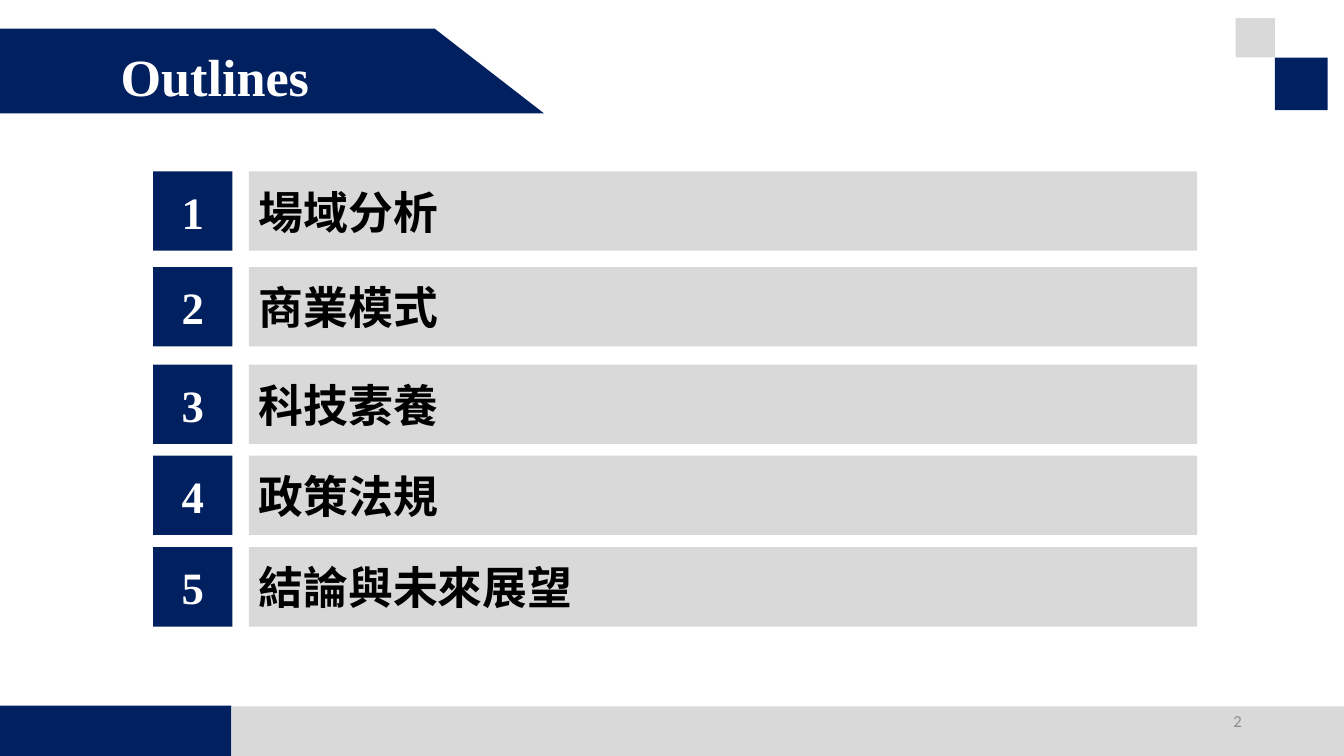
"""Build the outline slide with five numbered topics."""
from dataclasses import dataclass

from lxml.etree import SubElement
from pptx import Presentation
from pptx.dml.color import RGBColor
from pptx.enum.shapes import MSO_SHAPE as Preset
from pptx.enum.text import MSO_ANCHOR as Anchor, PP_ALIGN as Align
from pptx.oxml.ns import qn
from pptx.util import Cm, Pt


@dataclass(frozen=True)
class Theme:
    navy: RGBColor = RGBColor(0x00, 0x20, 0x60)
    silver: RGBColor = RGBColor(0xD9, 0xD9, 0xD9)
    gray: RGBColor = RGBColor(0x8C, 0x8C, 0x8C)
    white: RGBColor = RGBColor(0xFF, 0xFF, 0xFF)
    black: RGBColor = RGBColor(0x00, 0x00, 0x00)
    title_size: Pt = Pt(37.3)
    topic_size: Pt = Pt(32)
    page_size: Pt = Pt(12)
    serif: str = "Times New Roman"
    cjk: str = "Noto Sans CJK SC"
    sans: str = "Calibri"


theme = Theme()


def add_block(shapes, color, left, top, width, height, preset=Preset.RECTANGLE):
    shape = shapes.add_shape(preset, Cm(left), Cm(top), Cm(width), Cm(height))
    shape.shadow.inherit = False
    shape.fill.solid()
    shape.fill.fore_color.rgb = color
    shape.line.fill.background()
    return shape


def write_text(shape, text, color, align, anchor=Anchor.MIDDLE, wrap=True, **font_format):
    frame = shape.text_frame
    frame.word_wrap = wrap
    frame.vertical_anchor = anchor
    paragraph = frame.paragraphs[0]
    paragraph.alignment = align
    run = paragraph.add_run()
    run.text = text
    run.font.color.rgb = color
    for attribute, value in font_format.items():
        setattr(run.font, attribute, value)
    SubElement(run._r.get_or_add_rPr(), qn("a:ea"), typeface=font_format["name"])


presentation = Presentation()
presentation.slide_width = Cm(33.87)
presentation.slide_height = Cm(19.05)
slide = presentation.slides.add_slide(presentation.slide_layouts[6])

banner = add_block(slide.shapes, theme.navy, 5.77, -5.08, 2.13, 13.74,
                   Preset.FLOWCHART_MANUAL_INPUT)
banner.rotation = 90
title = slide.shapes.add_textbox(Cm(2.79), Cm(0.99), Cm(5.31), Cm(1.85))
title_format = dict(name=theme.serif, size=theme.title_size, bold=True)
write_text(title, "Outlines", theme.white, Align.LEFT, Anchor.TOP, False, **title_format)

decorations = [
    (theme.silver, 31.14, 0.46, 0.99, 0.99),
    (theme.navy, 32.13, 1.45, 1.33, 1.33),
    (theme.navy, 0, 17.78, 5.83, 1.27),
    (theme.silver, 5.83, 17.8, 28.04, 1.25),
]
for color, *box in decorations:
    add_block(slide.shapes, color, *box)

page_number = slide.shapes.add_textbox(Cm(23.93), Cm(17.65), Cm(7.62), Cm(1.02))
write_text(page_number, "2", theme.gray, Align.RIGHT, name=theme.sans, size=theme.page_size)

topics = [
    ("場域分析", 4.32),
    ("商業模式", 6.73),
    ("科技素養", 9.19),
    ("政策法規", 11.48),
    ("結論與未來展望", 13.79),
]
row_height = 2
topic_format = dict(size=theme.topic_size, bold=True)
for number, (topic, top) in enumerate(topics, start=1):
    row = slide.shapes.add_group_shape()
    bar = add_block(row.shapes, theme.silver, 6.27, top, 23.9, row_height)
    write_text(bar, topic, theme.black, Align.LEFT, name=theme.cjk, **topic_format)
    badge = add_block(row.shapes, theme.navy, 3.86, top, row_height, row_height)
    write_text(badge, str(number), theme.white, Align.CENTER, name=theme.serif, **topic_format)

presentation.save("out.pptx")
